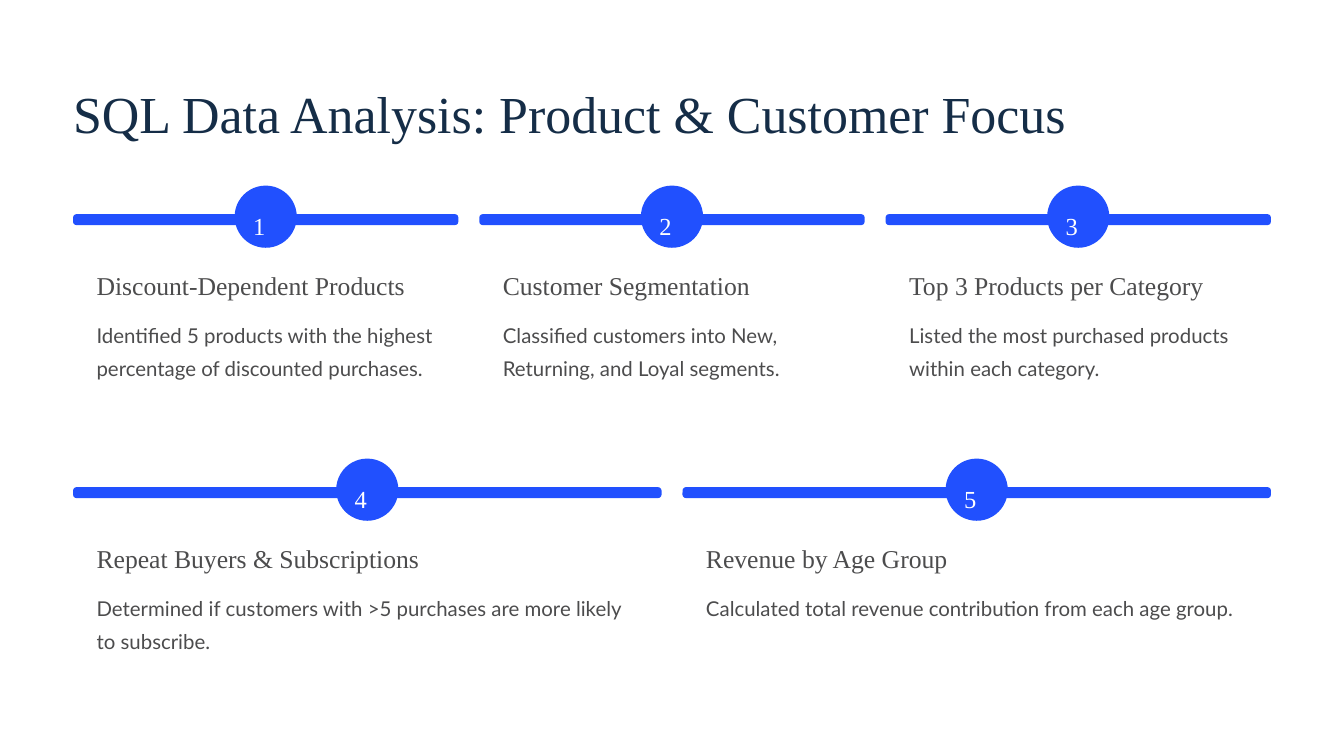
from dataclasses import dataclass
from typing import Any

from pptx import Presentation
from pptx.dml.color import RGBColor
from pptx.enum.shapes import MSO_SHAPE
from pptx.enum.text import MSO_ANCHOR, MSO_AUTO_SIZE, PP_ALIGN
from pptx.util import Inches, Pt

WIDTH, HEIGHT = Inches(16), Inches(9)
COL, ROW = WIDTH / 16, HEIGHT / 9
LEFT, SPAN, GAP, INDENT = 0.87, 14.26, 0.25, 0.28
BLUE, WHITE, NAVY, GREY = "2150FE", "FFFFFF", "152D47", "4C4C4D"


@dataclass(frozen=True)
class Box:
    """A rectangle in grid columns and rows."""
    x: float
    y: float
    w: float
    h: float

    def emu(self) -> tuple[int, int, int, int]:
        """Return left, top, width and height in slide units."""
        return (round(self.x * COL), round(self.y * ROW),
                round(self.w * COL), round(self.h * ROW))


@dataclass(frozen=True)
class Style:
    """The look of one kind of text."""
    font: str
    size: float
    color: str
    leading: float
    wrap: bool = False


@dataclass(frozen=True)
class Step:
    """One numbered finding."""
    heading: str
    body: str


@dataclass(frozen=True)
class Band:
    """A row of equally wide steps."""
    top: float
    height: float
    steps: tuple[Step, ...]


TITLE = Style("Times New Roman", 44.5, NAVY, 55.5)
NUMBER = Style("Times New Roman", 21, WHITE, 34)
HEADING = Style("Times New Roman", 22, GREY, 27.5)
BODY = Style("Lato", 17.5, GREY, 28.5, wrap=True)

BANDS = (
    Band(2.58, 2.63, (
        Step("Discount-Dependent Products",
             "Identified 5 products with the highest percentage of discounted purchases."),
        Step("Customer Segmentation",
             "Classified customers into New, Returning, and Loyal segments."),
        Step("Top 3 Products per Category",
             "Listed the most purchased products within each category."),
    )),
    Band(5.83, 2.23, (
        Step("Repeat Buyers & Subscriptions",
             "Determined if customers with >5 purchases are more likely to subscribe."),
        Step("Revenue by Age Group",
             "Calculated total revenue contribution from each age group."),
    )),
)


def rgb(color: str) -> RGBColor:
    """Turn a hex string into a colour."""
    return RGBColor.from_string(color)


def apply(obj: Any, values: dict[str, Any]) -> None:
    """Set every named attribute on an object."""
    for name, value in values.items():
        setattr(obj, name, value)


def write(tf: Any, text: str, style: Style) -> None:
    """Fill a text frame with one styled paragraph."""
    apply(tf, {"margin_left": 0, "margin_top": 0, "margin_right": 0, "margin_bottom": 0,
               "auto_size": MSO_AUTO_SIZE.NONE, "word_wrap": style.wrap,
               "vertical_anchor": MSO_ANCHOR.TOP})
    p = tf.paragraphs[0]
    apply(p, {"alignment": PP_ALIGN.LEFT, "line_spacing": Pt(style.leading)})
    r = p.add_run()
    r.text = text
    apply(r.font, {"name": style.font, "size": Pt(style.size)})
    r.font.color.rgb = rgb(style.color)


def add_text(s: Any, box: Box, text: str, style: Style) -> None:
    """Add a text box."""
    write(s.shapes.add_textbox(*box.emu()).text_frame, text, style)


def add_round(s: Any, box: Box, radius: float, color: str) -> None:
    """Add a filled rounded rectangle with a given corner radius."""
    sp = s.shapes.add_shape(MSO_SHAPE.ROUNDED_RECTANGLE, *box.emu())
    sp.adjustments[0] = radius / box.h
    sp.fill.solid()
    sp.fill.fore_color.rgb = rgb(color)
    sp.line.fill.background()
    sp.shadow.inherit = False


def add_step(s: Any, card: Box, number: int, step: Step) -> None:
    """Draw a card with its bar, number badge, heading and body."""
    x, y, mid = card.x + INDENT, card.y, card.x + card.w / 2
    inner = card.w - 2 * INDENT
    add_round(s, card, 0.16, WHITE)
    add_round(s, Box(card.x, y - 0.03, card.w, 0.13), 0.04, BLUE)
    add_round(s, Box(mid - 0.37, y - 0.37, 0.74, 0.74), 0.37, BLUE)
    add_text(s, Box(mid - 0.15, y - 0.19, 0.3, 0.37), str(number), NUMBER)
    add_text(s, Box(x, y + 0.62, inner, 0.39), step.heading, HEADING)
    add_text(s, Box(x, y + 1.16, inner, 0.79), step.body, BODY)


def main() -> None:
    """Build and save the slide."""
    prs = Presentation()
    apply(prs, {"slide_width": WIDTH, "slide_height": HEIGHT})
    s = prs.slides.add_slide(prs.slide_layouts[5])
    s.background.fill.solid()
    s.background.fill.fore_color.rgb = rgb(WHITE)

    title = s.shapes.title
    apply(title, dict(zip(("left", "top", "width", "height"),
                          Box(LEFT, 0.94, 12, 0.78).emu())))
    write(title.text_frame, "SQL Data Analysis: Product & Customer Focus", TITLE)

    number = 0
    for band in BANDS:
        count = len(band.steps)
        w = (SPAN - GAP * (count - 1)) / count
        for i, step in enumerate(band.steps):
            number += 1
            add_step(s, Box(LEFT + i * (w + GAP), band.top, w, band.height), number, step)
    prs.save("out.pptx")


if __name__ == "__main__":
    main()
